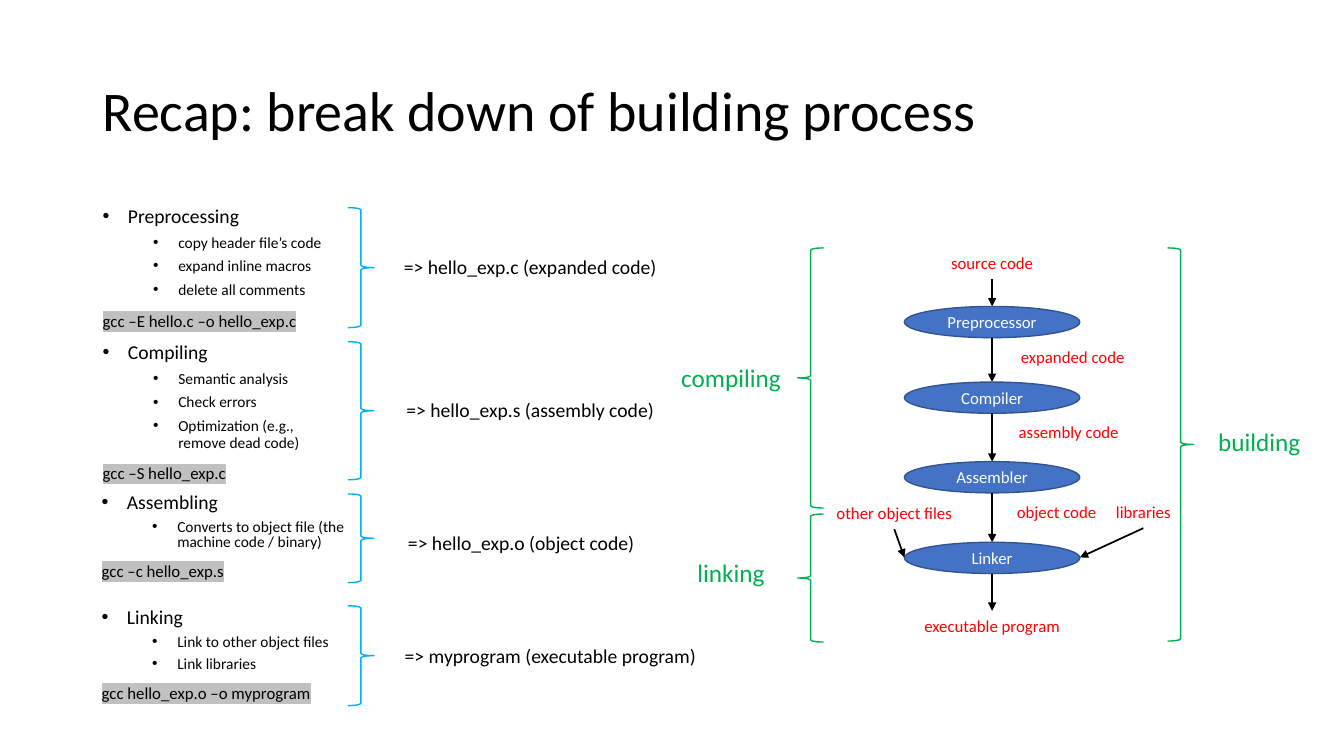
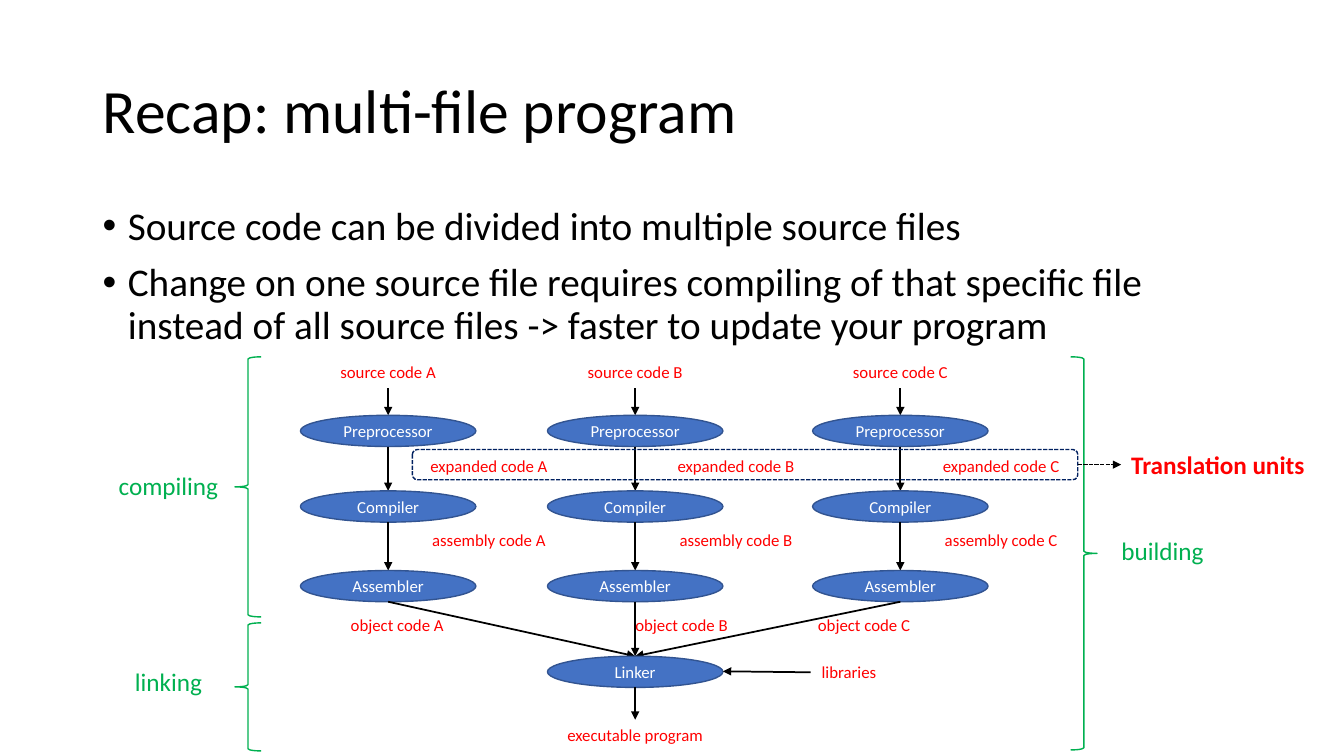
from lxml import etree
from pptx import Presentation
from pptx.dml.color import RGBColor
from pptx.enum.dml import MSO_LINE
from pptx.enum.shapes import MSO_CONNECTOR, MSO_SHAPE
from pptx.enum.text import MSO_ANCHOR, PP_ALIGN
from pptx.oxml.ns import qn
from pptx.util import Pt

STRAIGHT = MSO_CONNECTOR.STRAIGHT
ELLIPSE = MSO_SHAPE.OVAL
LEFT_BRACE = MSO_SHAPE.LEFT_BRACE
RIGHT_BRACE = MSO_SHAPE.RIGHT_BRACE
ROUNDED = MSO_SHAPE.ROUNDED_RECTANGLE
DASHED = MSO_LINE.SQUARE_DOT
MIDDLE = MSO_ANCHOR.MIDDLE
TOP = MSO_ANCHOR.TOP
CENTER = PP_ALIGN.CENTER
LEFT = PP_ALIGN.LEFT

BLACK = RGBColor(0x00, 0x00, 0x00)
WHITE = RGBColor(0xFF, 0xFF, 0xFF)
RED = RGBColor(0xFF, 0x00, 0x00)
GREEN = RGBColor(0x00, 0xB0, 0x50)
SKY = RGBColor(0x00, 0xB0, 0xF0)
BLUE = RGBColor(0x44, 0x72, 0xC4)
BLUE_EDGE = RGBColor(0x32, 0x54, 0x91)
NAVY = RGBColor(0x00, 0x20, 0x60)
SILVER = RGBColor(0xC0, 0xC0, 0xC0)

FONT = "Calibri"
EMU_PER_PX = 9144
WIDTH, HEIGHT = 1333, 750
STAGE_WIDTH, STAGE_HEIGHT = 174, 31
BRACE_WIDTH = 26


def emu(*lengths):
    return [length * EMU_PER_PX for length in lengths]


class Deck:
    """Hold the shared style and the slide being drawn."""

    def __init__(self):
        self.presentation = Presentation()
        self.presentation.slide_width, self.presentation.slide_height = emu(WIDTH, HEIGHT)
        self.slide = None

    def new_slide(self, title, size):
        self.slide = self.presentation.slides.add_slide(self.presentation.slide_layouts[6])
        frame = self.text_frame(92, 40, 1150, 145, MIDDLE)
        self.set_text(frame.paragraphs[0], title, size)
        frame.paragraphs[0].line_spacing = 0.9

    def text_frame(self, left, top, width, height, anchor=TOP):
        frame = self.slide.shapes.add_textbox(*emu(left, top, width, height)).text_frame
        frame.word_wrap = True
        frame.vertical_anchor = anchor
        return frame

    def set_text(self, paragraph, text, size, color=BLACK, align=LEFT, bold=False):
        paragraph.text = text
        paragraph.alignment = align
        font = paragraph.runs[0].font
        font.size = Pt(size)
        font.bold = bold
        font.color.rgb = color
        font.name = FONT

    def label(self, text, center, top, size=12, color=RED, width=174, align=CENTER, bold=False):
        frame = self.text_frame(center - width // 2, top, width, size + 20)
        self.set_text(frame.paragraphs[0], text, size, color, align, bold)

    def bullet(self, paragraph, indent):
        properties = paragraph._p.get_or_add_pPr()
        margin, hanging = emu(indent, -25)
        properties.set("marL", str(margin))
        properties.set("indent", str(hanging))
        etree.SubElement(properties, qn("a:buFont")).set("typeface", "Arial")
        etree.SubElement(properties, qn("a:buChar")).set("char", "•")

    def highlight(self, paragraph):
        properties = paragraph.runs[0]._r.get_or_add_rPr()
        marker = etree.Element(qn("a:highlight"))
        etree.SubElement(marker, qn("a:srgbClr")).set("val", str(SILVER))
        properties.find(qn("a:latin")).addprevious(marker)

    def outline(self, box, rows, spacing=0.9):
        frame = self.text_frame(*box)
        for index, (text, size, indent, before) in enumerate(rows):
            paragraph = frame.add_paragraph() if index else frame.paragraphs[0]
            self.set_text(paragraph, text, size)
            paragraph.line_spacing = spacing
            paragraph.space_before = Pt(before)
            if indent:
                self.bullet(paragraph, indent)
            else:
                self.highlight(paragraph)

    def shape(self, kind, box, edge, fill=None):
        shape = self.slide.shapes.add_shape(kind, *emu(*box))
        shape.shadow.inherit = False
        shape.line.color.rgb = edge
        shape.line.width = Pt(1)
        if fill is None:
            shape.fill.background()
        else:
            shape.fill.solid()
            shape.fill.fore_color.rgb = fill
        return shape

    def stage(self, name, center, top):
        box = (center - STAGE_WIDTH // 2, top, STAGE_WIDTH, STAGE_HEIGHT)
        frame = self.shape(ELLIPSE, box, BLUE_EDGE, BLUE).text_frame
        frame.vertical_anchor = MIDDLE
        self.set_text(frame.paragraphs[0], name, 12, WHITE, CENTER)

    def brace(self, kind, left, top, height, color):
        self.shape(kind, (left, top, BRACE_WIDTH, height), color)

    def arrow(self, start, end, width=1.25, dash=None):
        connector = self.slide.shapes.add_connector(STRAIGHT, *emu(*start, *end))
        line = connector.line
        line.color.rgb = BLACK
        line.width = Pt(width)
        if dash is not None:
            line.dash_style = dash
        etree.SubElement(line._get_or_add_ln(), qn("a:tailEnd")).set("type", "triangle")
        etree.SubElement(connector._element.spPr, qn("a:effectLst"))

    def toolchain(self, center, top, offsets, suffix=""):
        self.label("source code" + suffix, center, top)
        start = top + 31
        for name, drop in (("Preprocessor", 58), ("Compiler", 133), ("Assembler", 212)):
            self.arrow((center, start), (center, top + drop))
            self.stage(name, center, top + drop)
            start = top + drop + STAGE_HEIGHT
        products = (("expanded code", 93), ("assembly code", 167))
        for (name, drop), offset in zip(products, offsets):
            self.label(name + suffix, center + offset, top + drop)

    def linker(self, center, top, result_top):
        self.stage("Linker", center, top)
        self.arrow((center, top + STAGE_HEIGHT), (center, result_top))
        self.label("executable program", center, result_top)

    def phases(self, left, right, top):
        for name, drop, height, label_drop in (("compiling", 0, 258, 108), ("linking", 264, 127, 302)):
            self.brace(LEFT_BRACE, left, top + drop, height, GREEN)
            self.label(name, left - 66, top + label_drop, 18, GREEN, 122)
        self.brace(RIGHT_BRACE, right, top, 390, GREEN)
        self.label("building", right + 91, top + 172, 18, GREEN, 122)

    def step(self, box, spacing, name, details, command):
        rows = [(name, 14, 25, 10)]
        rows += [(detail, 11, 75, 5) for detail in details]
        rows.append((command, 12, 0, 10))
        self.outline(box, rows, spacing)

    def outcome(self, brace_top, brace_height, text, center, top):
        self.brace(RIGHT_BRACE, 345, brace_top, brace_height, SKY)
        self.label(text, center, top, 14, BLACK, 336)


def build_process(deck):
    deck.new_slide("Recap: break down of building process", 40)
    deck.step((92, 200, 262, 140), 0.9, "Preprocessing",
              ("copy header file’s code", "expand inline macros", "delete all comments"),
              "gcc –E hello.c –o hello_exp.c")
    deck.step((92, 335, 254, 165), 0.9, "Compiling",
              ("Semantic analysis", "Check errors", "Optimization (e.g., remove dead code)"),
              "gcc –S hello_exp.c")
    deck.step((91, 486, 291, 103), 0.8, "Assembling",
              ("Converts to object file (the machine code / binary)",),
              "gcc –c hello_exp.s")
    deck.step((91, 600, 291, 103), 0.8, "Linking",
              ("Link to other object files", "Link libraries"),
              "gcc hello_exp.o –o myprogram")
    for outcome in (
        (206, 119, "=> hello_exp.c (expanded code)", 526, 248),
        (339, 137, "=> hello_exp.s (assembly code)", 526, 390),
        (490, 88, "=> hello_exp.o (object code)", 517, 522),
        (601, 99, "=> myprogram (executable program)", 546, 634),
    ):
        deck.outcome(*outcome)

    center, top = 984, 246
    deck.toolchain(center, top, (80, 76))
    deck.arrow((center, 489), (center, 538))
    deck.linker(center, 538, 606)
    deck.label("object code", 1048, 493)
    deck.label("other object files", 887, 494)
    deck.arrow((887, 525), (897, 553))
    deck.label("libraries", 1134, 493)
    deck.arrow((1134, 524), (1071, 553))
    deck.phases(791, 1158, top)


def build_multi_file(deck):
    deck.new_slide("Recap: multi-file program", 44)
    points = (
        "Source code can be divided into multiple source files",
        "Change on one source file requires compiling of that specific file "
        "instead of all source files -> faster to update your program",
    )
    deck.outline((92, 200, 1150, 162), [(point, 28, 25, 10) for point in points])

    top, linker_center, linker_top = 354, 630, 651
    for suffix, center, object_center in ((" A", 385, 394), (" B", 630, 676), (" C", 893, 857)):
        deck.toolchain(center, top, (100, 100), suffix)
        deck.arrow((center, 597), (linker_center, linker_top))
        deck.label("object code" + suffix, object_center, 605)
    deck.linker(linker_center, linker_top, 714)
    deck.label("libraries", 842, 652)
    deck.arrow((804, 667), (717, 666))
    deck.phases(233, 1062, top)

    deck.shape(ROUNDED, (409, 446, 660, 30), NAVY).line.dash_style = DASHED
    deck.arrow((1069, 461), (1112, 461), 1, DASHED)
    deck.label("Translation units", 1218, 441, 18, RED, 212, LEFT, True)


def main():
    deck = Deck()
    build_process(deck)
    build_multi_file(deck)
    deck.presentation.save("out.pptx")


if __name__ == "__main__":
    main()
